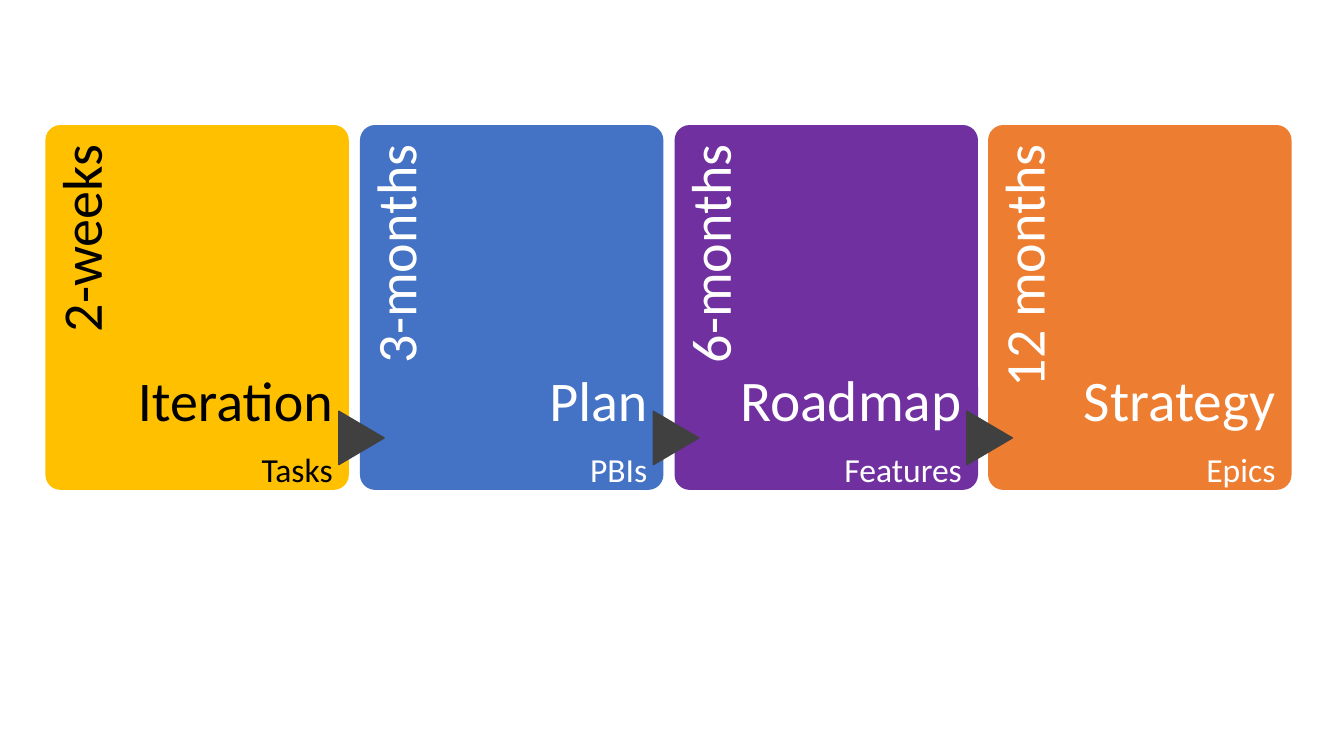
from pptx import Presentation
from pptx.dml.color import RGBColor
from pptx.enum.shapes import MSO_SHAPE as Shape
from pptx.enum.text import MSO_ANCHOR as Anchor, PP_ALIGN as Align
from pptx.util import Pt

PX = 9144
CARD_LEFT, CARD_TOP, CARD_WIDTH, CARD_HEIGHT = 45, 124, 301, 362
CARD_PITCH = 311.8
ARROW = "404040"

HORIZONS = [
    ("2-weeks", "Iteration", "Tasks", "FFC000", "000000", 40, 15),
    ("3-months", "Plan", "PBIs", "4472C4", "FFFFFF", 40, 15),
    ("6-months", "Roadmap", "Features", "7030A0", "FFFFFF", 41, 9),
    ("12 months", "Strategy", "Epics", "ED7D31", "FFFFFF", 41, 9),
]


def color(value):
    return RGBColor.from_string(value)


def px(*lengths):
    return [length * PX for length in lengths]


def add_filled(slide, kind, box, fill):
    shape = slide.shapes.add_shape(kind, *px(*box))
    shape.shadow.inherit = False
    shape.fill.solid()
    shape.fill.fore_color.rgb = color(fill)
    shape.line.fill.background()
    return shape


def add_text(slide, box, lines, ink, anchor, insets):
    shape = slide.shapes.add_textbox(*px(*box))
    frame = shape.text_frame
    frame.word_wrap = True
    frame.vertical_anchor = anchor
    (frame.margin_left, frame.margin_top,
     frame.margin_right, frame.margin_bottom) = px(*insets)
    frame.text = "\n".join(text for text, size in lines)
    for paragraph, (text, size) in zip(frame.paragraphs, lines):
        paragraph.alignment = Align.RIGHT
        paragraph.line_spacing = 0.9
        paragraph.space_after = Pt(round(size * 0.35))
        paragraph.font.name = "Calibri"
        paragraph.font.size = Pt(size)
        paragraph.font.color.rgb = color(ink)
    return shape


def add_arrow(slide, left, top):
    arrow = add_filled(slide, Shape.FLOWCHART_EXTRACT, (left, top, 53, 45), ARROW)
    arrow.rotation = 90
    arrow.line.color.rgb = color(ARROW)
    arrow.line.width = Pt(1)


def add_card(slide, box, horizon, has_arrow):
    left, top, width, height = box
    period, name, items, fill, ink, name_size, inset = horizon
    card = add_filled(slide, Shape.ROUNDED_RECTANGLE, box, fill)
    card.adjustments[0] = 0.05
    label = add_text(slide, (left - 118, top + 119, 297, 60), [(period, 40)],
                     ink, Anchor.MIDDLE, (0, 15, 19, 0))
    label.rotation = 270
    if has_arrow:
        add_arrow(slide, left - 25, top + 288)
    add_text(slide, (left + 60, top, width - 76, height),
             [(name, name_size), (items, 24)], ink, Anchor.BOTTOM, (0, inset, 0, 0))


def main():
    presentation = Presentation()
    presentation.slide_width, presentation.slide_height = px(1333, 750)
    slide = presentation.slides.add_slide(presentation.slide_layouts[6])
    for index, horizon in enumerate(HORIZONS):
        left = CARD_LEFT + round(index * CARD_PITCH)
        add_card(slide, (left, CARD_TOP, CARD_WIDTH, CARD_HEIGHT), horizon, index > 0)
    presentation.save("out.pptx")


if __name__ == "__main__":
    main()
